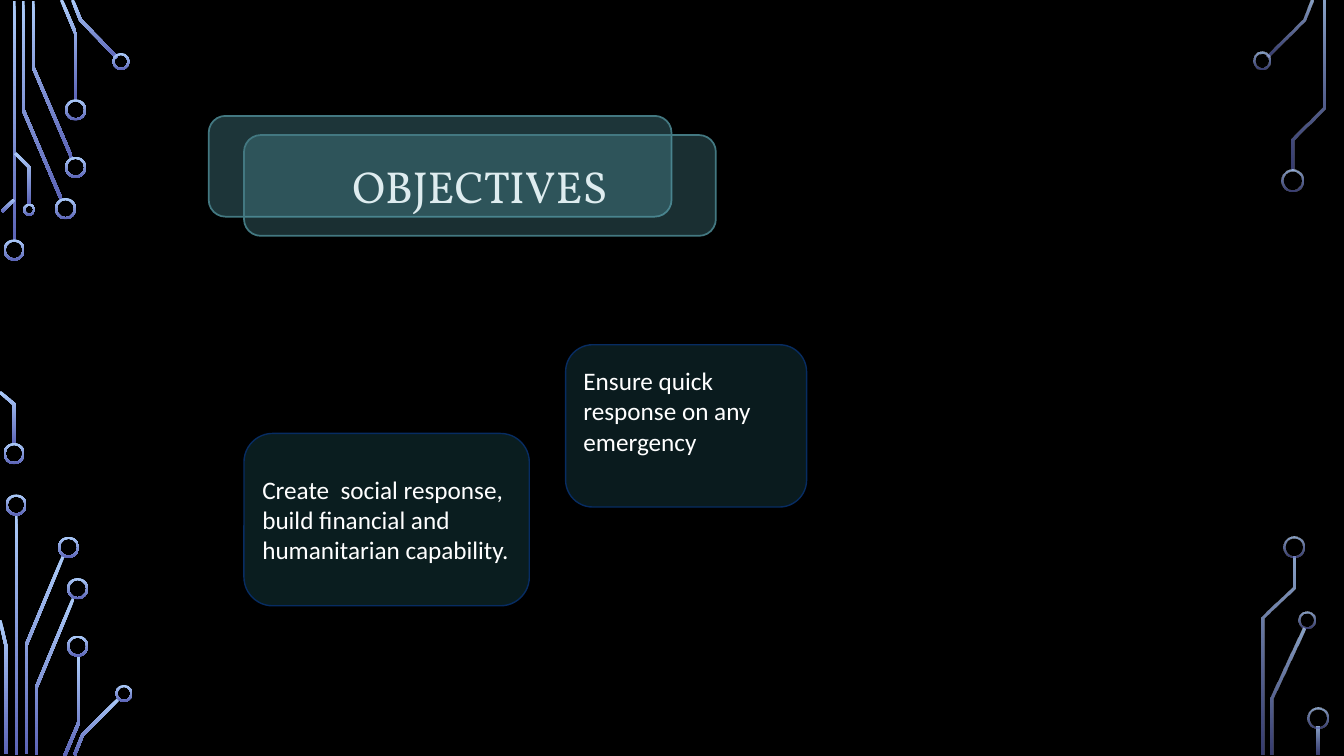
from dataclasses import dataclass
from math import hypot

from lxml import etree
from pptx import Presentation
from pptx.dml.color import RGBColor
from pptx.enum.shapes import MSO_SHAPE
from pptx.enum.text import MSO_ANCHOR, MSO_AUTO_SIZE, PP_ALIGN
from pptx.oxml.ns import qn
from pptx.util import Inches, Pt

ROUNDED, RING = MSO_SHAPE.ROUNDED_RECTANGLE, MSO_SHAPE.DONUT
MIDDLE, NO_AUTOFIT = MSO_ANCHOR.MIDDLE, MSO_AUTO_SIZE.NONE
LEFT, CENTER = PP_ALIGN.LEFT, PP_ALIGN.CENTER


@dataclass(frozen=True)
class Theme:
    background: str = "000000"
    circuit: tuple = ("ACCBF9", "5C64B7")
    plaque: str = "5AA2AE"
    plaque_line: str = "437881"
    card: str = "41AEBD"
    card_line: str = "072C62"
    title: str = "DEECEF"
    body: str = "FFFFFF"
    title_font: str = "Vollkorn"
    body_font: str = "Calibri"
    title_size: int = 32
    body_size: int = 18


THEME = Theme()
TRACE_WIDTH = 0.03
RING_WIDTH = 0.02
LINE_HEIGHT = 0.3
BOLD_TRACES = (100, 100)
FAINT_TRACES = (80, 60)

# Circuit corners: box origin, opacity, traces (points), rings (centre x, y, diameter)
CORNERS = [
    ((0, 0), BOLD_TRACES,
     [[(0.14, 0.01), (0.14, 2.4)],
      [(0.23, 0.01), (0.23, 1.09), (0.61, 1.98)],
      [(0.33, 0.01), (0.33, 0.67), (0.71, 1.56)],
      [(0.61, 0), (0.75, 0.33), (0.75, 1)],
      [(0.72, 0), (0.8, 0.2), (1.16, 0.57)],
      [(0.14, 1.98), (0.02, 2.1)],
      [(0.15, 1.52), (0.29, 1.66), (0.29, 2.03)]],
     [(0.14, 2.48, 0.21), (0.65, 2.07, 0.21), (0.75, 1.66, 0.21),
      (0.75, 1.09, 0.21), (1.2, 0.61, 0.17), (0.29, 2.08, 0.12)]),
    ((0, 3.5), BOLD_TRACES,
     [[(0, 0.39), (0.14, 0.51), (0.14, 0.91)],
      [(0.16, 1.6), (0.16, 3.99)],
      [(0.26, 3.98), (0.26, 2.9), (0.63, 2.01)],
      [(0, 2.65), (0.06, 2.91), (0.06, 3.98)],
      [(0.36, 3.99), (0.36, 3.32), (0.73, 2.43)],
      [(0.64, 4), (0.78, 3.67), (0.78, 3)],
      [(0.74, 3.99), (0.82, 3.79), (1.18, 3.43)]],
     [(0.14, 1, 0.21), (0.16, 1.51, 0.21), (0.68, 1.93, 0.21),
      (0.77, 2.34, 0.21), (0.77, 2.91, 0.21), (1.23, 3.38, 0.17)]),
    ((12.33, 0), FAINT_TRACES,
     [[(0.68, 0), (0.6, 0.2), (0.24, 0.56)],
      [(0.8, 0.01), (0.8, 1.07), (0.49, 1.38), (0.49, 1.69)]],
     [(0.19, 0.6, 0.17), (0.49, 1.79, 0.21)]),
    ((12.33, 5), FAINT_TRACES,
     [[(0.29, 2.49), (0.29, 1.93), (0.6, 1.23)],
      [(0.2, 2.49), (0.2, 1.13), (0.5, 0.83), (0.5, 0.52)],
      [(0.74, 2.21), (0.74, 2.49)]],
     [(0.63, 1.15, 0.17), (0.5, 0.43, 0.21), (0.74, 2.12, 0.21)]),
]


def set_opacity(color_parent, percent):
    color = color_parent.find(".//" + qn("a:srgbClr"))
    etree.SubElement(color, qn("a:alpha"), val=str(percent * 1000))


def fill_gradient(sp, opacities):
    """Fill a circuit part from light at the top to dark at the bottom."""
    sp.shadow.inherit = False
    sp.line.fill.background()
    sp.fill.gradient()
    sp.fill.gradient_angle = 270
    stops = sp.element.spPr.findall(".//" + qn("a:gs"))
    for stop, gs, color, opacity in zip(sp.fill.gradient_stops, stops,
                                        THEME.circuit, opacities):
        stop.color.rgb = RGBColor.from_string(color)
        if opacity < 100:
            set_opacity(gs, opacity)


def trace_outline(points):
    """Return the outline of a mitred band around a line through the points."""
    normals = []
    for (x1, y1), (x2, y2) in zip(points, points[1:]):
        length = hypot(x2 - x1, y2 - y1)
        normals.append(((y1 - y2) / length, (x2 - x1) / length))
    near, far = [], []
    for (x, y), (ax, ay), (bx, by) in zip(points, normals[:1] + normals,
                                          normals + normals[-1:]):
        reach = TRACE_WIDTH / 2 / (1 + ax * bx + ay * by)
        dx, dy = (ax + bx) * reach, (ay + by) * reach
        near.append((x + dx, y + dy))
        far.append((x - dx, y - dy))
    return near + far[::-1]


def add_circuit(slide, origin, opacities, traces, rings):
    left, top = origin
    for points in traces:
        outline = [(Inches(left + x), Inches(top + y))
                   for x, y in trace_outline(points)]
        builder = slide.shapes.build_freeform(*outline[0])
        builder.add_line_segments(outline[1:])
        fill_gradient(builder.convert_to_shape(), opacities)
    for x, y, size in rings:
        sp = slide.shapes.add_shape(RING, Inches(left + x - size / 2),
                                    Inches(top + y - size / 2),
                                    Inches(size), Inches(size))
        sp.adjustments[0] = RING_WIDTH / size
        fill_gradient(sp, opacities)


def add_panel(slide, box, fill, opacity, line, width):
    sp = slide.shapes.add_shape(ROUNDED, *map(Inches, box))
    sp.shadow.inherit = False
    sp.fill.solid()
    sp.fill.fore_color.rgb = RGBColor.from_string(fill)
    set_opacity(sp.element.spPr, opacity)
    sp.line.color.rgb = RGBColor.from_string(line)
    sp.line.width = Pt(width)
    return sp


def set_text(sp, text, *, font, size, color, align=LEFT):
    tf = sp.text_frame
    tf.word_wrap = True
    tf.auto_size = NO_AUTOFIT
    tf.vertical_anchor = MIDDLE
    p = tf.paragraphs[0]
    p.alignment = align
    r = p.add_run()
    r.text = text
    r.font.name = font
    r.font.size = Pt(size)
    r.font.color.rgb = RGBColor.from_string(color)


def add_heading(slide, box, text):
    left, top, width, height = box
    back = (left, top, width - 0.44, height - 0.19)
    front = (left + 0.35, top + 0.19, width - 0.35, height - 0.19)
    for panel, opacity in ((back, 33), (front, 29)):
        add_panel(slide, panel, THEME.plaque, opacity, THEME.plaque_line, 1.25)
    title = slide.shapes.title
    title.left, title.top, title.width, title.height = map(Inches, front)
    set_text(title, text, font=THEME.title_font, size=THEME.title_size,
             color=THEME.title, align=CENTER)
    # Bring the title in front of its two panels
    title.element.getparent().append(title.element)


def add_card(slide, box, text, opacity, lift=0):
    sp = add_panel(slide, box, THEME.card, opacity, THEME.card_line, 1)
    set_text(sp, text, font=THEME.body_font, size=THEME.body_size,
             color=THEME.body)
    sp.text_frame.margin_bottom = Inches(0.05 + lift)


def main():
    prs = Presentation()
    prs.slide_width, prs.slide_height = Inches(13.33), Inches(7.5)
    slide = prs.slides.add_slide(prs.slide_layouts.get_by_name("Title Only"))
    slide.background.fill.solid()
    slide.background.fill.fore_color.rgb = RGBColor.from_string(THEME.background)

    for corner in CORNERS:
        add_circuit(slide, *corner)
    add_heading(slide, (2.07, 1.15, 5.03, 1.19), "OBJECTIVES")
    add_card(slide, (5.61, 3.42, 2.39, 1.61),
             "Ensure quick response on any emergency", 16, lift=LINE_HEIGHT)
    add_card(slide, (2.42, 4.3, 2.83, 1.71),
             "Create  social response, build financial and humanitarian capability.",
             17)
    prs.save("out.pptx")


if __name__ == "__main__":
    main()
